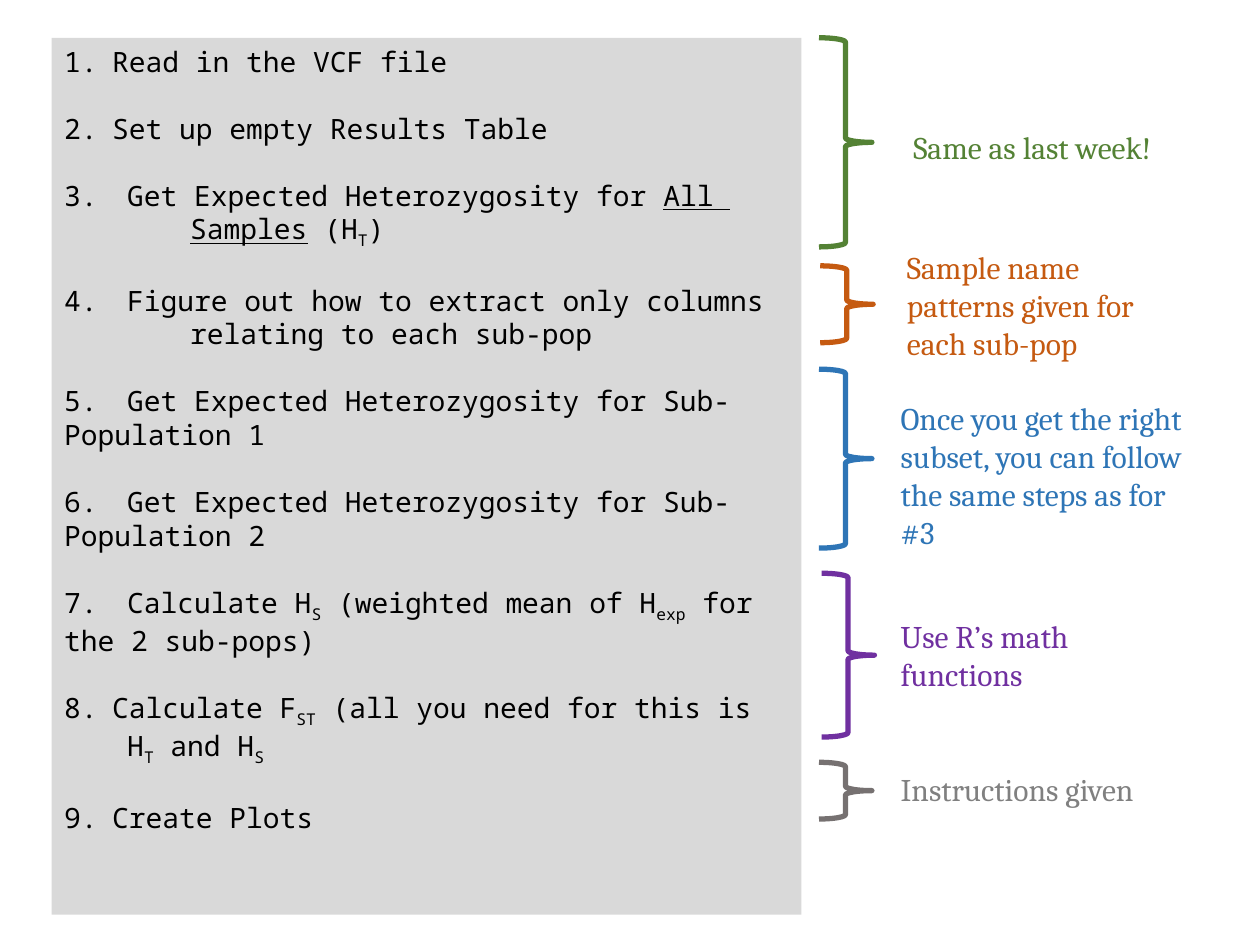
from copy import deepcopy

from lxml import etree
from pptx import Presentation
from pptx import util as u
from pptx.dml.color import RGBColor
from pptx.enum import shapes, text
from pptx.oxml.ns import qn

# Content: each step is a kind, then its runs as (text, style); "\n" breaks a line
SUB = "sub"
LINE = "underline"
STEPS = [
    ("auto 1", [("Read in the VCF file", "")]),
    ("auto 1", [("Set up empty Results Table", "")]),
    ("typed", [("3.\tGet Expected Heterozygosity for ", ""), ("All ", LINE),
               ("\n\t\t", ""), ("Samples", LINE), (" (H", ""), ("T", SUB), (")", "")]),
    ("typed", [("4.\tFigure out how to extract only columns\n\t\trelating to each sub-pop", "")]),
    ("typed", [("5.\tGet Expected Heterozygosity for Sub-\nPopulation 1", "")]),
    ("typed", [("6.\tGet Expected Heterozygosity for Sub-\nPopulation 2", "")]),
    ("typed", [("7.\tCalculate H", ""), ("S", SUB), (" (weighted mean of H", ""),
               ("exp", SUB), (" for\nthe 2 sub-pops)", "")]),
    ("auto 8", [("Calculate F", ""), ("ST", SUB), (" (all you need for this is\n\tH", ""),
                ("T", SUB), (" and H", ""), ("S", SUB)]),
    ("auto 8", [("Create Plots", "")]),
]

# Notes: text, colour key, brace (left, top, height), label (left, top, width, height), wrap
NOTES = [
    ("Same as last week!", "green", (6.5, 0.3, 1.66), (7.15, 0.97, 2.43, 0.4), False),
    ("Sample name patterns given for each sub-pop", "orange",
     (6.51, 2.11, 0.61), (7.1, 1.92, 2.47, 1.01), True),
    ("Once you get the right subset, you can follow the same steps as for #3", "blue",
     (6.5, 2.93, 1.42), (7.05, 3.12, 2.53, 1.31), True),
    ("Use R’s math functions", "purple", (6.52, 4.55, 1.3), (7.05, 4.85, 2.47, 0.71), True),
    ("Instructions given", "gray", (6.5, 6.05, 0.45), (7.05, 6.06, 2.33, 0.4), False),
]

THEME = {
    "panel": "D9D9D9", "ink": "000000",
    "green": ("548235", "548235"), "orange": ("C55A11", "C55A11"),
    "blue": ("2E75B6", "2E75B6"), "purple": ("7030A0", "7030A0"),
    "gray": ("767171", "808080"),  # brace colour, label colour
    "step_font": "Noto Sans Mono", "step_size": 16, "step_gap": 19.1,
    "note_font": "Cambria", "note_size": 18, "brace_line": 3,
}
PANEL = (0.41, 0.3, 5.95, 6.96)
STEP_BOX = (0.41, 0.3, 5.88, 6.2)
BRACE_WIDTH = 0.42
HANGING = 0.38
TAB_STOPS = (0.53, 1.0)


def inches(box):
    return [u.Inches(value) for value in box]


def set_all(target, values):
    for name, value in values.items():
        setattr(target, name, value)


def set_font(font, name, size, color):
    set_all(font, {"name": name, "size": u.Pt(size)})
    font.color.rgb = RGBColor.from_string(color)


def add_step_run(paragraph, words, style):
    """Add one run, splitting it at line breaks that keep the run's format."""
    for index, part in enumerate(words.split("\n")):
        if index:
            paragraph.add_line_break()
            line_break = paragraph._p.findall(qn("a:br"))[-1]
        run = paragraph.add_run()
        run.text = part
        set_font(run.font, THEME["step_font"], THEME["step_size"], THEME["ink"])
        if style == LINE:
            run.font.underline = True
        elif style == SUB:
            run.font._element.set("baseline", "-25000")
        if index:
            line_break.append(deepcopy(run.font._element))


def set_numbering(paragraph, kind):
    """Use automatic numbers, or tab stops for numbers typed in the text."""
    properties = paragraph._p.get_or_add_pPr()
    automatic = kind.startswith("auto")
    margin = u.Inches(HANGING) if automatic else 0
    properties.set("marL", str(margin))
    properties.set("indent", str(-margin))
    if automatic:
        etree.SubElement(properties, qn("a:buFont"), typeface=THEME["step_font"])
        etree.SubElement(properties, qn("a:buAutoNum"),
                         type="arabicPeriod", startAt=kind.split()[1])
    else:
        etree.SubElement(properties, qn("a:buNone"))
        stops = etree.SubElement(properties, qn("a:tabLst"))
        for stop in TAB_STOPS:
            etree.SubElement(stops, qn("a:tab"), pos=str(u.Inches(stop)), algn="l")


def add_steps(slide):
    # Panel behind the list
    panel = slide.shapes.add_shape(shapes.MSO_SHAPE.RECTANGLE, *inches(PANEL))
    panel.shadow.inherit = False
    panel.fill.solid()
    panel.fill.fore_color.rgb = RGBColor.from_string(THEME["panel"])
    panel.line.fill.background()

    # Numbered list in the body placeholder
    body = slide.placeholders[1]
    body._element.addprevious(panel._element)
    set_all(body, dict(zip(("left", "top", "width", "height"), inches(STEP_BOX))))
    frame = body.text_frame
    set_all(frame, {"word_wrap": True, "auto_size": text.MSO_AUTO_SIZE.NONE,
                    "vertical_anchor": text.MSO_ANCHOR.TOP})
    for index, (kind, runs) in enumerate(STEPS):
        paragraph = frame.add_paragraph() if index else frame.paragraphs[0]
        set_all(paragraph, {"alignment": text.PP_ALIGN.LEFT, "space_before": u.Pt(0),
                            "space_after": u.Pt(THEME["step_gap"])})
        set_numbering(paragraph, kind)
        for words, style in runs:
            add_step_run(paragraph, words, style)


def add_note(slide, words, color, brace_place, label_box, wrap):
    brace_color, label_color = THEME[color]
    left, top, height = brace_place
    brace = slide.shapes.add_shape(shapes.MSO_SHAPE.RIGHT_BRACE,
                                   *inches((left, top, BRACE_WIDTH, height)))
    brace.shadow.inherit = False
    brace.fill.background()
    brace.line.color.rgb = RGBColor.from_string(brace_color)
    brace.line.width = u.Pt(THEME["brace_line"])

    label = slide.shapes.add_textbox(*inches(label_box))
    label.text_frame.word_wrap = wrap
    run = label.text_frame.paragraphs[0].add_run()
    run.text = words
    set_font(run.font, THEME["note_font"], THEME["note_size"], label_color)


def main():
    presentation = Presentation()
    set_all(presentation, {"slide_width": u.Inches(10), "slide_height": u.Inches(7.5)})
    slide = presentation.slides.add_slide(presentation.slide_layouts[1])
    title = slide.shapes.title._element
    title.getparent().remove(title)
    add_steps(slide)
    for note in NOTES:
        add_note(slide, *note)
    presentation.save("out.pptx")


if __name__ == "__main__":
    main()
